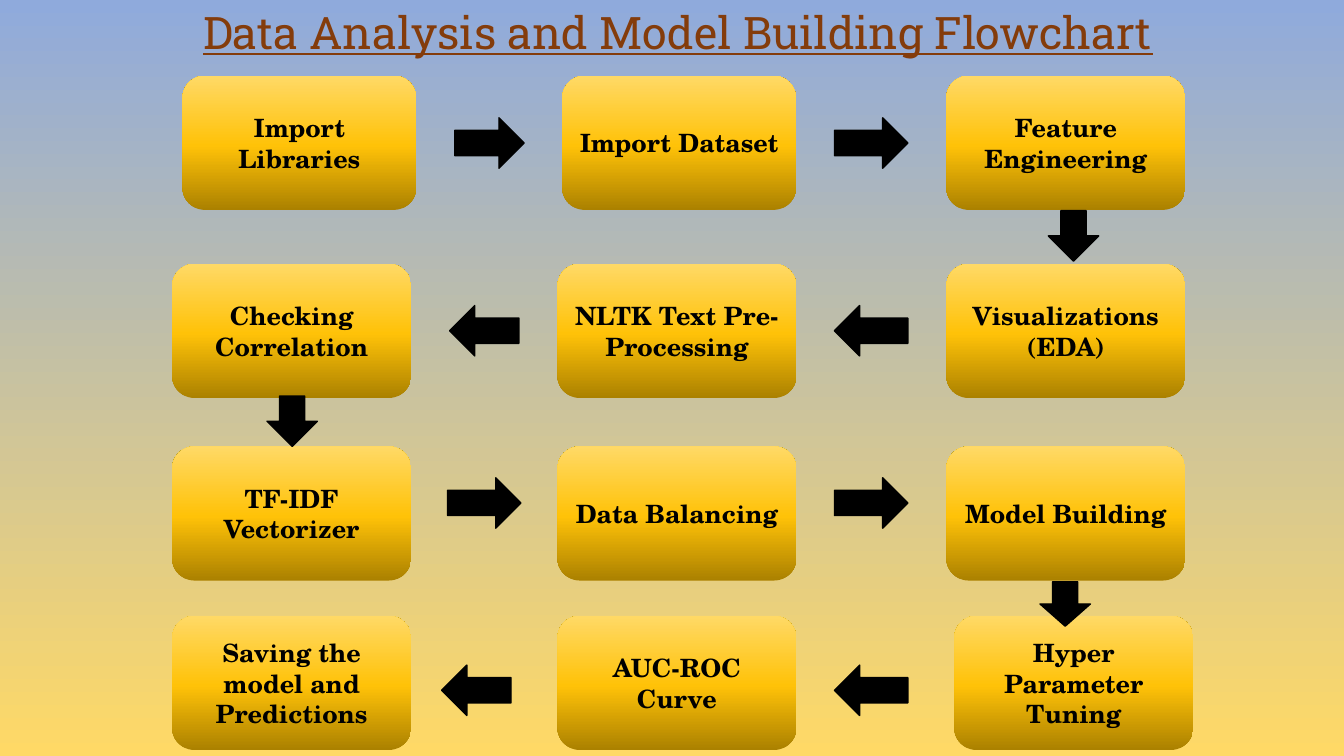
from copy import deepcopy
from dataclasses import dataclass

from pptx import Presentation
from pptx.dml.color import RGBColor
from pptx.enum.shapes import MSO_SHAPE
from pptx.enum.text import MSO_ANCHOR, MSO_AUTO_SIZE, PP_ALIGN
from pptx.oxml.ns import qn
from pptx.util import Cm, Pt

BOX = MSO_SHAPE.FLOWCHART_ALTERNATE_PROCESS
RIGHT = MSO_SHAPE.RIGHT_ARROW
LEFT = MSO_SHAPE.LEFT_ARROW
DOWN = MSO_SHAPE.DOWN_ARROW
MIDDLE = MSO_ANCHOR.MIDDLE
CENTER = PP_ALIGN.CENTER
GROW = MSO_AUTO_SIZE.SHAPE_TO_FIT_TEXT


@dataclass(frozen=True)
class Theme:
    title_font: str = "Roboto Slab"
    step_font: str = "TeX Gyre Schola"
    title_size: int = 32
    step_size: int = 18
    title_color: str = "843C0B"
    ink: str = "000000"
    background: tuple = ((0, "8FAADC"), (1, "FFD966"))
    gold: tuple = ((0, "AB8100"), (0.48, "FFC208"), (1, "FFD966"))


THEME = Theme()

# Sizes in cm
BOX_W, BOX_H = 6.02, 3.38
FIRST_ROW_W = 5.89
ARROW = 1.27
SHORT, LONG = 1.75, 1.85
SECOND_GAP_X = 21.03

# Each row: box top, arrow top, arrow kind, first arrow (left, width),
# then the steps as (left, width, text)
ROWS = [
    (1.91, 2.97, RIGHT, (11.46, SHORT), [
        (4.6, FIRST_ROW_W, "Import Libraries"),
        (14.17, FIRST_ROW_W, "Import Dataset"),
        (23.85, BOX_W, "Feature Engineering")]),
    (6.65, 7.7, LEFT, (11.33, SHORT), [
        (4.34, BOX_W, "Checking Correlation"),
        (14.05, BOX_W, "NLTK Text Pre-Processing"),
        (23.85, BOX_W, "Visualizations\n(EDA)")]),
    (11.25, 12.04, RIGHT, (11.28, LONG), [
        (4.34, BOX_W, "TF-IDF Vectorizer"),
        (14.05, BOX_W, "Data Balancing"),
        (23.85, BOX_W, "Model Building")]),
    (15.52, 16.76, LEFT, (11.13, SHORT), [
        (4.34, BOX_W, "Saving the model and Predictions"),
        (14.05, BOX_W, "AUC-ROC Curve"),
        (24.05, BOX_W, "Hyper Parameter Tuning")]),
]

# Arrows between rows: left, top, height
DOWN_ARROWS = [(26.42, 5.31, ARROW), (6.73, 9.98, ARROW), (26.21, 14.66, 1.12)]


def set_gradient(fill, element, stops, angle):
    """Fill with any number of (position, colour) stops."""
    fill.gradient()
    fill.gradient_angle = angle
    stop_list = next(element.iter(qn("a:gsLst")))
    while len(stop_list) < len(stops):
        stop_list.append(deepcopy(stop_list[0]))
    for stop, (position, color) in zip(fill.gradient_stops, stops):
        stop.position = position
        stop.color.rgb = RGBColor.from_string(color)


def format_text(tf, font, size, color, bold=None, underline=None):
    tf.word_wrap = True
    for p in tf.paragraphs:
        p.alignment = CENTER
        for r in p.runs:
            r.font.name = font
            r.font.size = Pt(size)
            r.font.color.rgb = RGBColor.from_string(color)
            r.font.bold = bold
            r.font.underline = underline


def add_title(s, text):
    sp = s.shapes.add_textbox(Cm(1.5), Cm(0), Cm(31.17), Cm(2.39))
    tf = sp.text_frame
    tf.text = text
    format_text(tf, THEME.title_font, THEME.title_size, THEME.title_color,
                underline=True)
    tf.auto_size = GROW


def add_step(s, left, top, width, text):
    sp = s.shapes.add_shape(BOX, Cm(left), Cm(top), Cm(width), Cm(BOX_H))
    sp.shadow.inherit = False
    set_gradient(sp.fill, sp.element, THEME.gold, 90)
    sp.line.fill.background()
    tf = sp.text_frame
    tf.text = text
    tf.vertical_anchor = MIDDLE
    format_text(tf, THEME.step_font, THEME.step_size, THEME.ink, bold=True)


def add_arrow(s, kind, left, top, width=ARROW, height=ARROW):
    sp = s.shapes.add_shape(kind, Cm(left), Cm(top), Cm(width), Cm(height))
    sp.shadow.inherit = False
    ink = RGBColor.from_string(THEME.ink)
    sp.fill.solid()
    sp.fill.fore_color.rgb = ink
    sp.line.color.rgb = ink
    sp.line.width = Pt(1)


def main():
    prs = Presentation()
    prs.slide_width, prs.slide_height = Cm(33.87), Cm(19.05)
    s = prs.slides.add_slide(prs.slide_layouts[6])

    # Background and title
    set_gradient(s.background.fill, s.element, THEME.background, 270)
    add_title(s, "Data Analysis and Model Building Flowchart")

    # Rows of steps with the arrows between them
    for top, arrow_top, kind, (gap_x, gap_w), steps in ROWS:
        for left, width, text in steps:
            add_step(s, left, top, width, text)
        add_arrow(s, kind, gap_x, arrow_top, gap_w)
        add_arrow(s, kind, SECOND_GAP_X, arrow_top, LONG)

    # Arrows from one row to the next
    for left, top, height in DOWN_ARROWS:
        add_arrow(s, DOWN, left, top, height=height)

    prs.save("out.pptx")


if __name__ == "__main__":
    main()
